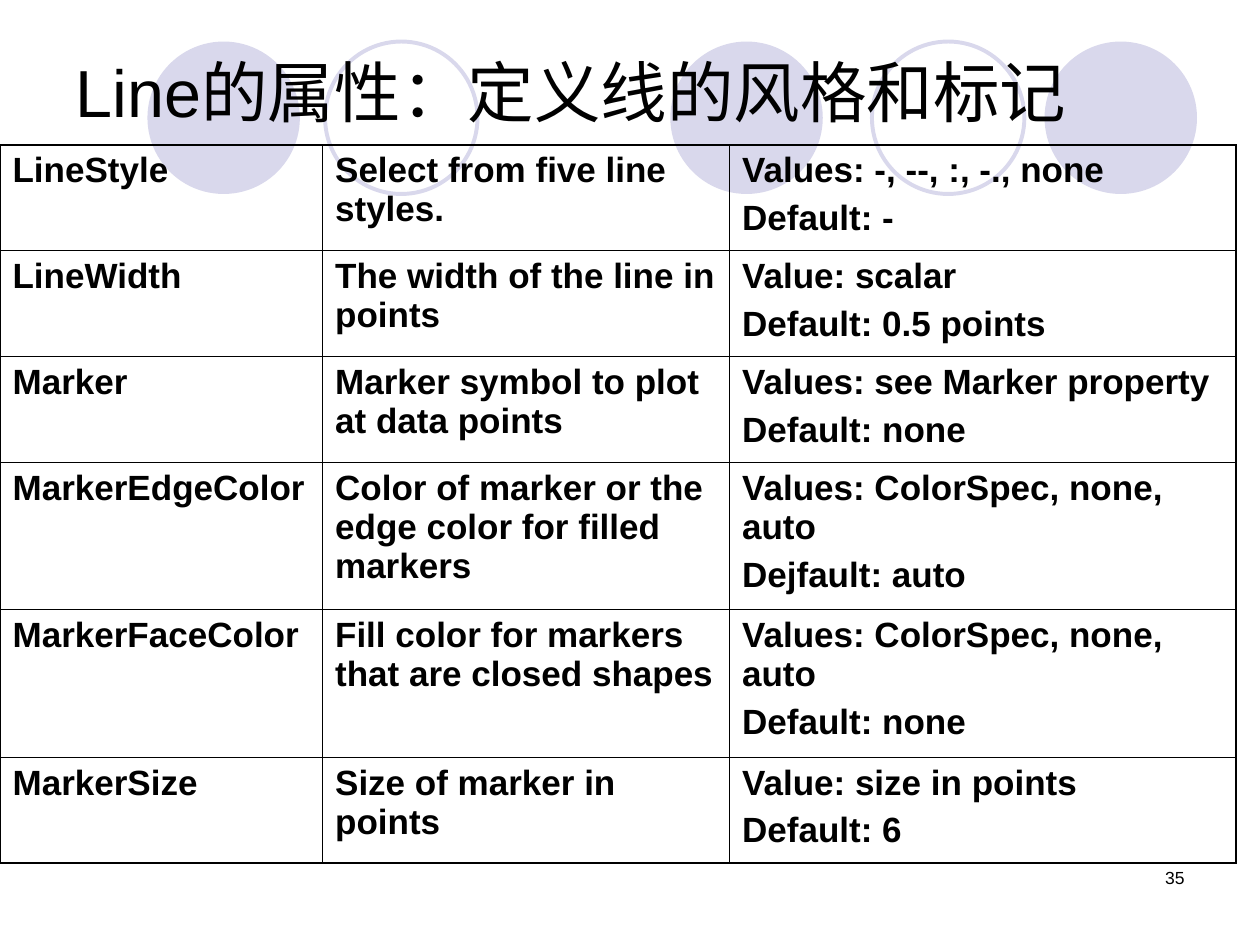
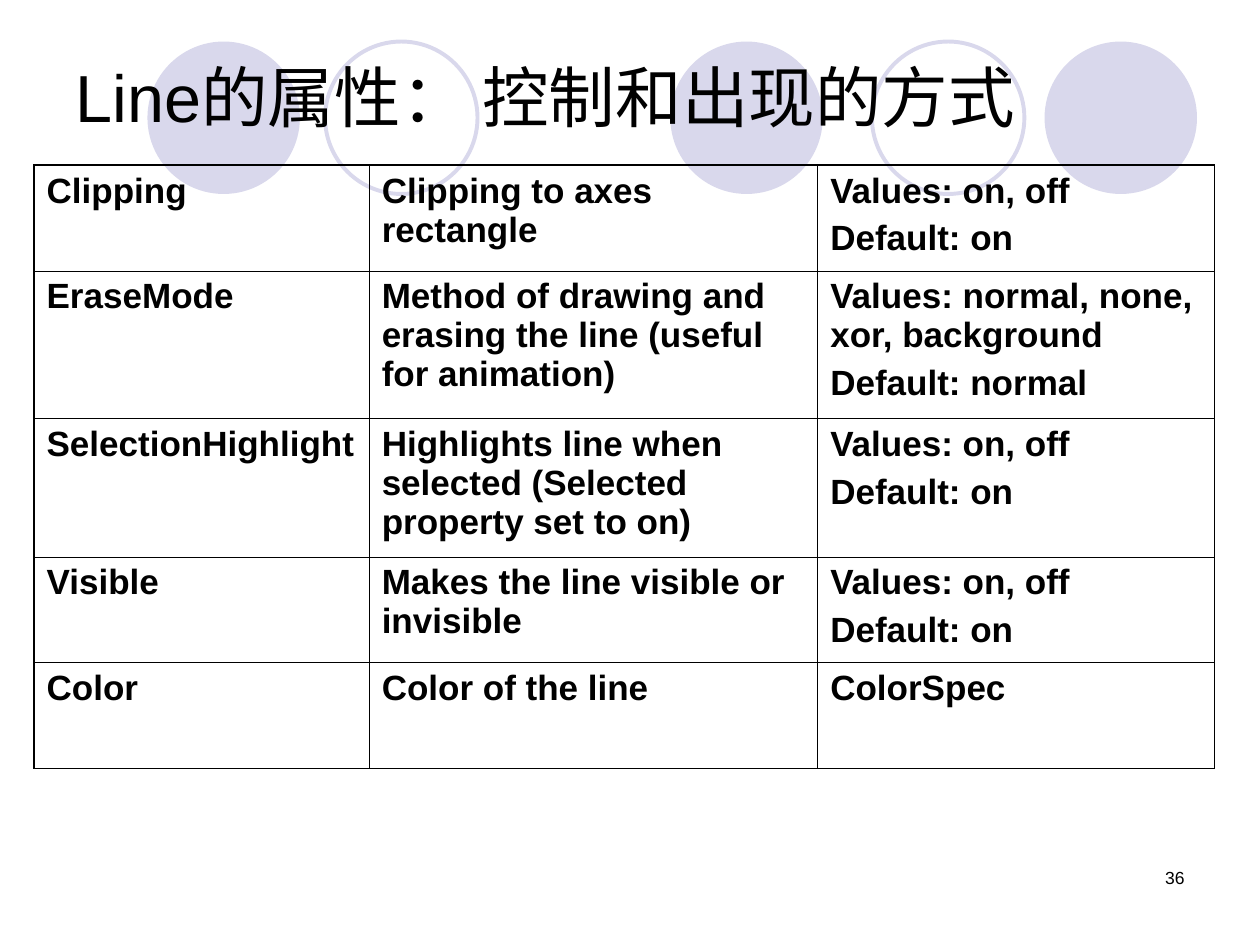
from lxml import etree
from pptx import Presentation
from pptx import util as u
from pptx.dml.color import RGBColor
from pptx.enum import shapes, text
from pptx.oxml.ns import qn

deck = Presentation()
deck.slide_width, deck.slide_height = u.Inches(10), u.Inches(7.5)

BLACK, LILAC = "000000", "D9D8EC"
OUTER, INNER = u.Pt(1.08), u.Pt(0.45)  # table rules


def colour(code):
    return RGBColor.from_string(code)


def area(left, top, width, height):
    """Turn percentages of the slide's size into lengths."""
    sides = (deck.slide_width, deck.slide_height) * 2
    return [u.Emu(round(side * share / 100))
            for side, share in zip(sides, (left, top, width, height))]


# Shared look
base = {"name": "Arial", "bold": False}
title_font = {**base, "size": u.Pt(38)}
cell_font = {**base, "size": u.Pt(20), "bold": True}
number_font = {**base, "size": u.Pt(10)}
title_frame = {"vertical_anchor": text.MSO_ANCHOR.MIDDLE, "word_wrap": True,
               "auto_size": text.MSO_AUTO_SIZE.NONE}
circles = [(11.7, True), (25.8, False), (53.2, True), (69.2, False), (82.9, True)]

# Contents, with sizes in percent of the slide
pages = [
    {"number": "35", "title": "Line的属性：定义线的风格和标记",
     "title_area": (5, 4, 87.5, 11.33), "corner": (0, 15.33),
     "columns": [25.6, 32.3, 40.2],
     "rows": [11.2, 11.2, 11.2, 15.6, 15.6, 11.2],
     "cells": [
         ("LineStyle", "Select from five line styles.",
          "Values: -, --, :, -., none\nDefault: -"),
         ("LineWidth", "The width of the line in points",
          "Value: scalar\nDefault: 0.5 points"),
         ("Marker", "Marker symbol to plot at data points",
          "Values: see Marker property\nDefault: none"),
         ("MarkerEdgeColor", "Color of marker or the edge color for filled markers",
          "Values: ColorSpec, none, auto\nDejfault: auto"),
         ("MarkerFaceColor", "Fill color for markers that are closed shapes",
          "Values: ColorSpec, none, auto\nDefault: none"),
         ("MarkerSize", "Size of marker in points",
          "Value: size in points\nDefault: 6")]},
    {"number": "36", "title": "Line的属性： 控制和出现的方式",
     "title_area": (5, 4, 88.3, 12.4), "corner": (2.7, 17.47),
     "columns": [26.6, 35.6, 31.5],
     "rows": [11.2, 15.6, 14.67, 11.2, 11.2],
     "cells": [
         ("Clipping", "Clipping to axes rectangle", "Values: on, off\nDefault: on"),
         ("EraseMode", "Method of drawing and erasing the line (useful for animation)",
          "Values: normal, none, xor, background\nDefault: normal"),
         ("SelectionHighlight",
          "Highlights line when selected (Selected property set to on)",
          "Values: on, off\nDefault: on"),
         ("Visible", "Makes the line visible or invisible",
          "Values: on, off\nDefault: on"),
         ("Color", "Color of the line", "ColorSpec")]},
]

for content in pages:
    page = deck.slides.add_slide(deck.slide_layouts[5])
    title = page.shapes.title

    # Row of circles behind the title
    for left, filled in circles:
        circle = page.shapes.add_shape(shapes.MSO_SHAPE.OVAL, *area(left, 4.4, 12.1, 16.13))
        circle.shadow.inherit = False
        if filled:
            circle.fill.solid()
            circle.fill.fore_color.rgb = colour(LILAC)
            circle.line.fill.background()
        else:
            circle.fill.background()
            circle.line.color.rgb = colour(LILAC)
            circle.line.width = u.Pt(2.25)

    # Title, brought in front of the circles
    title._element.getparent().append(title._element)
    for name, length in zip(("left", "top", "width", "height"), area(*content["title_area"])):
        setattr(title, name, length)
    for name, value in title_frame.items():
        setattr(title.text_frame, name, value)

    # Property table
    columns, rows = content["columns"], content["rows"]
    table = page.shapes.add_table(
        len(rows), len(columns),
        *area(*content["corner"], sum(columns), sum(rows))).table
    table.first_row = table.horz_banding = False
    for column, share in zip(table.columns, columns):
        column.width = area(0, 0, share, 0)[2]
    for row, share in zip(table.rows, rows):
        row.height = area(0, 0, 0, share)[3]

    # Page number
    box = page.shapes.add_textbox(*area(71.7, 91.07, 23.3, 6.67))
    box.text_frame.word_wrap = True

    # Cell rules: heavier around the table's edge
    left_align, right_align = text.PP_ALIGN.LEFT, text.PP_ALIGN.RIGHT
    texts = [(title.text_frame, content["title"], left_align, 0, title_font),
             (box.text_frame, content["number"], right_align, 0, number_font)]
    for r, words in enumerate(content["cells"]):
        for c, wording in enumerate(words):
            cell = table.cell(r, c)
            cell.fill.background()
            edges = {"a:lnL": c == 0, "a:lnR": c == len(columns) - 1,
                     "a:lnT": r == 0, "a:lnB": r == len(rows) - 1}
            properties = cell._tc.get_or_add_tcPr()
            for place, (tag, outside) in enumerate(edges.items()):
                rule = etree.Element(qn(tag), w=str(int(OUTER if outside else INNER)))
                ink = etree.SubElement(rule, qn("a:solidFill"))
                etree.SubElement(ink, qn("a:srgbClr"), val=BLACK)
                properties.insert(place, rule)
            texts.append((cell.text_frame, wording, left_align, 5, cell_font))

    # Wording and fonts
    for frame, wording, alignment, gap, font in texts:
        frame.text = wording
        for para in frame.paragraphs:
            para.alignment = alignment
            para.space_before = u.Pt(gap)
            for span in para.runs:
                span.font.color.rgb = colour(BLACK)
                for name, value in font.items():
                    setattr(span.font, name, value)

deck.save("out.pptx")
